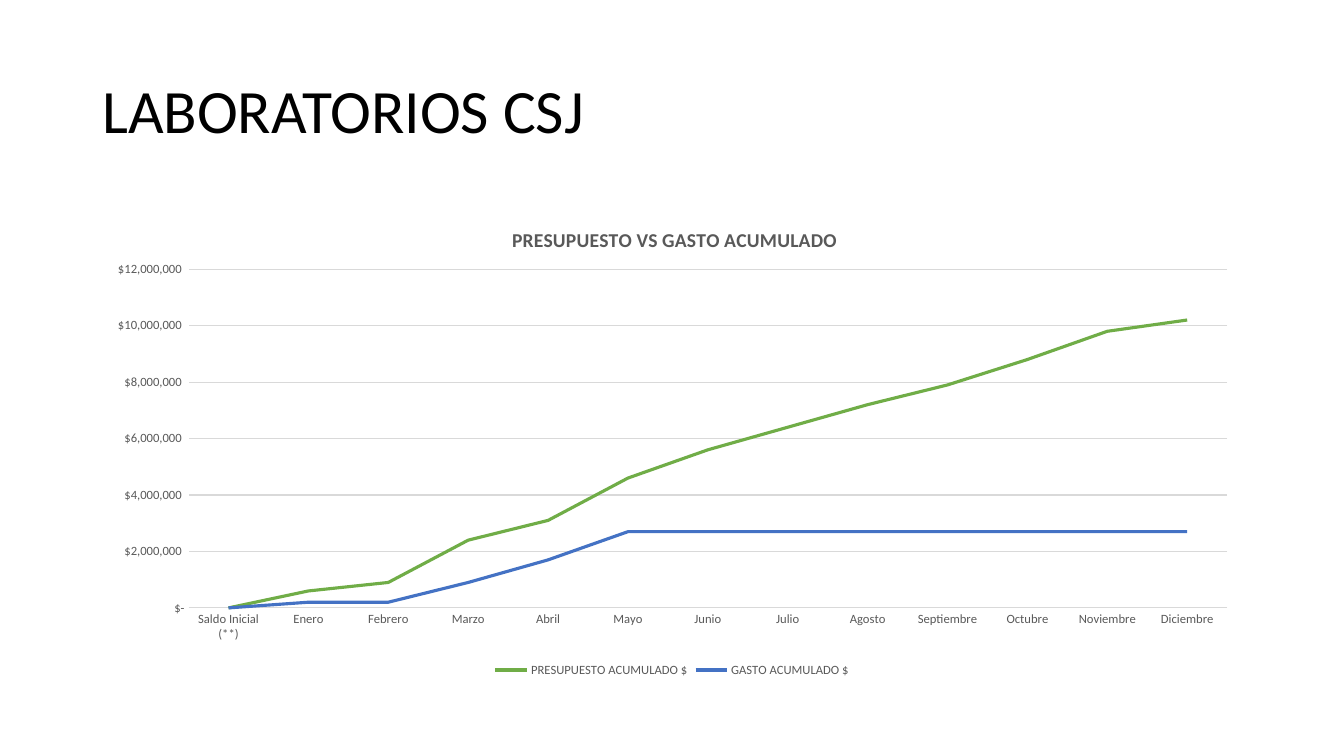
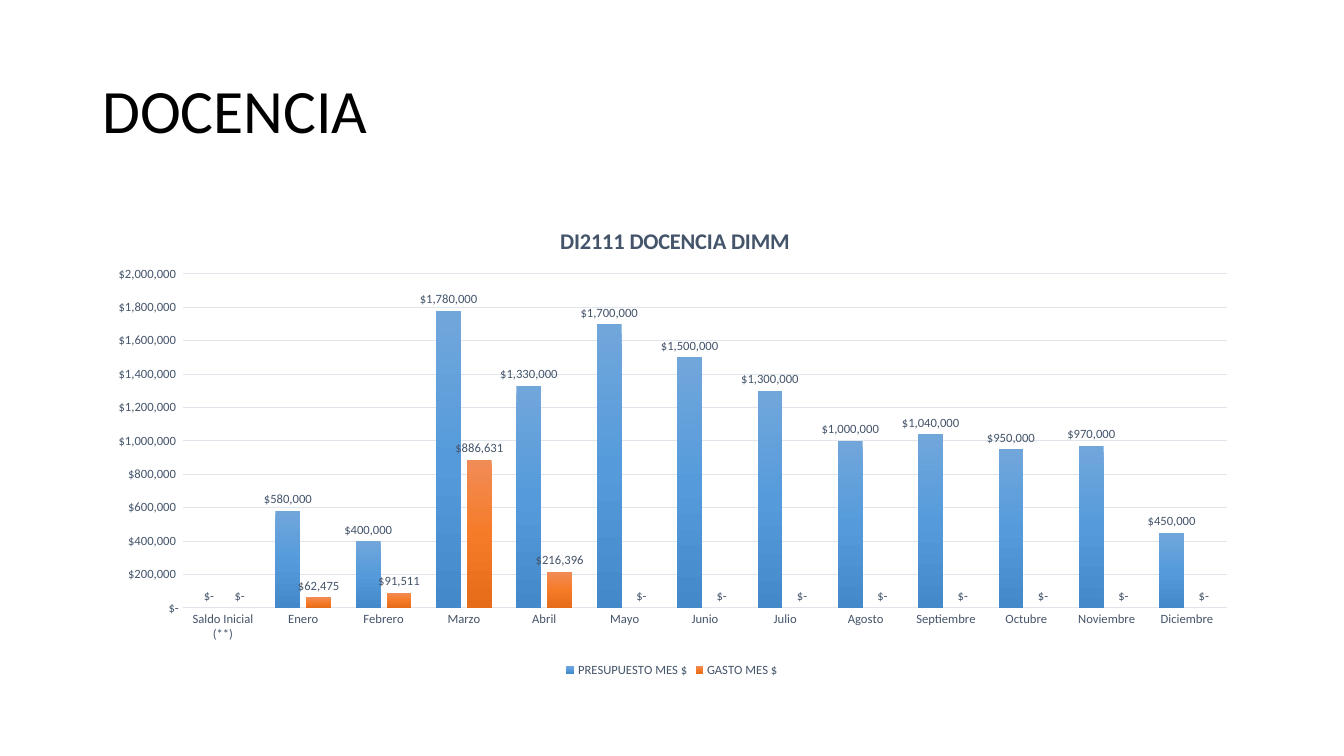
from lxml import etree
from pptx import Presentation
from pptx.chart.data import CategoryChartData
from pptx.dml.color import RGBColor
from pptx.enum.chart import XL_CHART_TYPE, XL_LABEL_POSITION, XL_LEGEND_POSITION, XL_TICK_MARK
from pptx.enum.text import MSO_ANCHOR
from pptx.oxml import parse_xml
from pptx.oxml.ns import nsdecls, qn
from pptx.util import Pt

LINE = XL_CHART_TYPE.LINE
COLUMN = XL_CHART_TYPE.COLUMN_CLUSTERED
OUTSIDE_END = XL_LABEL_POSITION.OUTSIDE_END
BOTTOM = XL_LEGEND_POSITION.BOTTOM
NO_TICK = XL_TICK_MARK.NONE
MIDDLE = MSO_ANCHOR.MIDDLE

FONT = "Calibri"
BLACK, GREY, SLATE = "000000", "595959", "44546A"
GREY_GRID, SLATE_GRID = "D9D9D9", "E0E5EB"
GREEN, BLUE = "70AD47", "4472C4"
BLUE_STOPS = ("71A6DB", "559BDB", "448ACA")
ORANGE_STOPS = ("F18C57", "F67B28", "E56C19")
PESOS = '_-"$"* #,##0_-;\\-"$"* #,##0_-;_-"$"* "-"'

TITLE_BOX = (66, 28.8, 828, 104.4)
CHART_BOX = (66, 144, 828, 342.72)
PERIODS = ["Saldo Inicial (**)", "Enero", "Febrero", "Marzo", "Abril", "Mayo", "Junio",
           "Julio", "Agosto", "Septiembre", "Octubre", "Noviembre", "Diciembre"]


def rgb(color):
    """Turn a hex string into a colour."""
    return RGBColor.from_string(color)


def set_font(font, size, color, bold=False):
    """Format a font."""
    font.name, font.size, font.bold = FONT, Pt(size), bold
    font.color.rgb = rgb(color)


def add_text(s, box, text, size=44, color=BLACK, bold=False):
    """Add a vertically centred line of text."""
    tf = s.shapes.add_textbox(*map(Pt, box)).text_frame
    tf.word_wrap, tf.vertical_anchor = True, MIDDLE
    p = tf.paragraphs[0]
    p.line_spacing = 0.9
    r = p.add_run()
    r.text = text
    set_font(r.font, size, color, bold)


def set_layout(parent, index, inner=False, **fractions):
    """Place a chart part by fractions of the chart's size."""
    for old in parent.findall(qn("c:layout")):
        parent.remove(old)
    layout = parse_xml(f"<c:layout {nsdecls('c')}><c:manualLayout/></c:layout>")
    pairs = [("layoutTarget", "inner")] if inner else []
    pairs += [("xMode", "edge"), ("yMode", "edge"), *fractions.items()]
    for tag, value in pairs:
        etree.SubElement(layout[0], qn(f"c:{tag}")).set("val", str(value))
    parent.insert(index, layout)


def set_gradient(series, stops):
    """Fill a series with an even gradient from top to bottom."""
    step = 100000 // (len(stops) - 1)
    marks = "".join(f'<a:gs pos="{i * step}"><a:srgbClr val="{c}"/></a:gs>'
                    for i, c in enumerate(stops))
    series.format.fill.background()
    sp_pr = series.format.fill._xPr
    sp_pr.replace(sp_pr.find(qn("a:noFill")), parse_xml(
        f"<a:gradFill {nsdecls('a')}><a:gsLst>{marks}</a:gsLst>"
        '<a:lin ang="5400000" scaled="0"/></a:gradFill>'))


def style_axes(chart, color, grid):
    """Format both axes and the gridlines."""
    cat, val = chart.category_axis, chart.value_axis
    for axis in (cat, val):
        axis.major_tick_mark = axis.minor_tick_mark = NO_TICK
        set_font(axis.tick_labels.font, 9, color)
    val.has_major_gridlines = True
    for line in (cat.format.line, val.major_gridlines.format.line):
        line.color.rgb, line.width = rgb(grid), Pt(0.75)
    val.format.line.fill.background()
    val.tick_labels.number_format = PESOS
    val.tick_labels.number_format_is_linked = False


def add_chart(s, box, kind, title, data, color, grid, title_size, title_x, plot):
    """Add a titled chart with a legend below and return it."""
    cd = CategoryChartData(number_format=PESOS)
    cd.categories = PERIODS
    for name, values in data.items():
        cd.add_series(name, values)
    chart = s.shapes.add_chart(kind, *map(Pt, box), cd).chart
    set_font(chart.font, 10, BLACK)
    chart.has_title = True
    p = chart.chart_title.text_frame.paragraphs[0]
    r = p.add_run()
    r.text = title
    set_font(r.font, title_size, color, bold=True)
    set_layout(chart.chart_title._element, 1, x=title_x, y=0.043)
    set_layout(chart._chartSpace.chart.plotArea, 0, inner=True, **plot)
    chart.has_legend = True
    chart.legend.position, chart.legend.include_in_layout = BOTTOM, False
    set_font(chart.legend.font, 9, color)
    chart.plots[0].vary_by_categories = False
    style_axes(chart, color, grid)
    return chart


def add_line_chart(s, box, title, data, colors, **layout):
    """Add a chart of plain lines."""
    chart = add_chart(s, box, LINE, title, data, GREY, GREY_GRID, 14, **layout)
    for series, color in zip(chart.series, colors):
        series.smooth = False
        series.format.line.color.rgb = rgb(color)
        series.format.line.width = Pt(2.25)


def add_column_chart(s, box, title, data, gradients, **layout):
    """Add a chart of labelled gradient columns."""
    chart = add_chart(s, box, COLUMN, title, data, SLATE, SLATE_GRID, 16, **layout)
    plot = chart.plots[0]
    plot.gap_width, plot.overlap = 100, -24
    for series, stops in zip(chart.series, gradients):
        set_gradient(series, stops)
        labels = series.data_labels
        labels.show_value, labels.position = True, OUTSIDE_END
        labels.number_format, labels.number_format_is_linked = PESOS, False
        set_font(labels.font, 9, SLATE)


def add_slide(prs, title):
    """Add a blank slide with its title and return it."""
    s = prs.slides.add_slide(prs.slide_layouts[6])
    add_text(s, TITLE_BOX, title)
    return s


def build_laboratories(prs):
    """Build the slide of accumulated budget and spending."""
    s = add_slide(prs, "LABORATORIOS CSJ")
    millions = {
        "PRESUPUESTO ACUMULADO $":
            [0, 0.6, 0.9, 2.4, 3.1, 4.6, 5.6, 6.4, 7.2, 7.9, 8.8, 9.8, 10.2],
        "GASTO ACUMULADO $": [0, 0.2, 0.2, 0.9, 1.7] + [2.7] * 8,
    }
    data = {name: [round(v * 1e6) for v in values] for name, values in millions.items()}
    add_line_chart(s, CHART_BOX, "PRESUPUESTO VS GASTO ACUMULADO", data, (GREEN, BLUE),
                   title_x=0.359, plot={"x": 0.083, "y": 0.141, "w": 0.896, "h": 0.706})


def build_teaching(prs):
    """Build the slide of monthly budget and spending."""
    s = add_slide(prs, "DOCENCIA")
    data = {
        "PRESUPUESTO MES $": [0, 580000, 400000, 1780000, 1330000, 1700000, 1500000,
                              1300000, 1000000, 1040000, 950000, 970000, 450000],
        "GASTO MES $": [0, 62475, 91511, 886631, 216396] + [0] * 8,
    }
    add_column_chart(s, CHART_BOX, "DI2111 DOCENCIA DIMM", data, (BLUE_STOPS, ORANGE_STOPS),
                     title_x=0.4, plot={"x": 0.078, "y": 0.151, "w": 0.901, "h": 0.696})


prs = Presentation()
prs.slide_width, prs.slide_height = Pt(960), Pt(540)
build_laboratories(prs)
build_teaching(prs)
prs.save("out.pptx")
